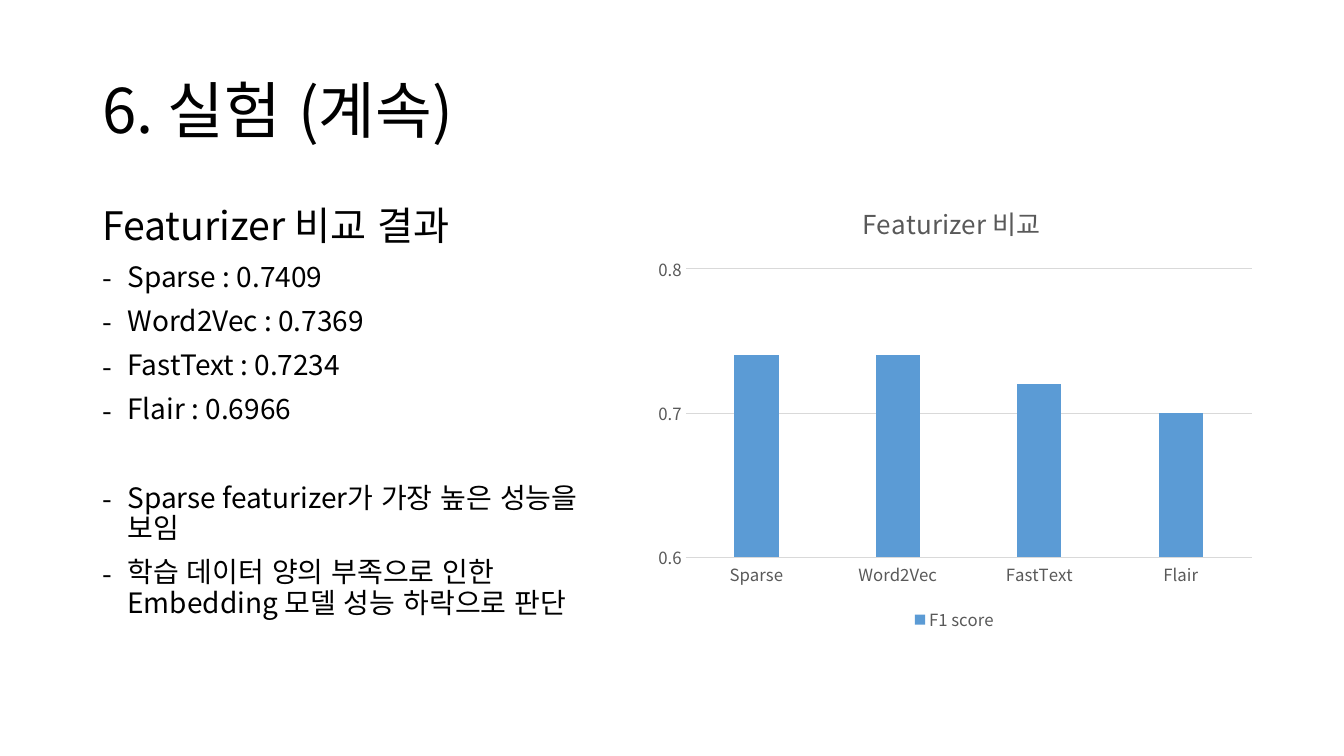
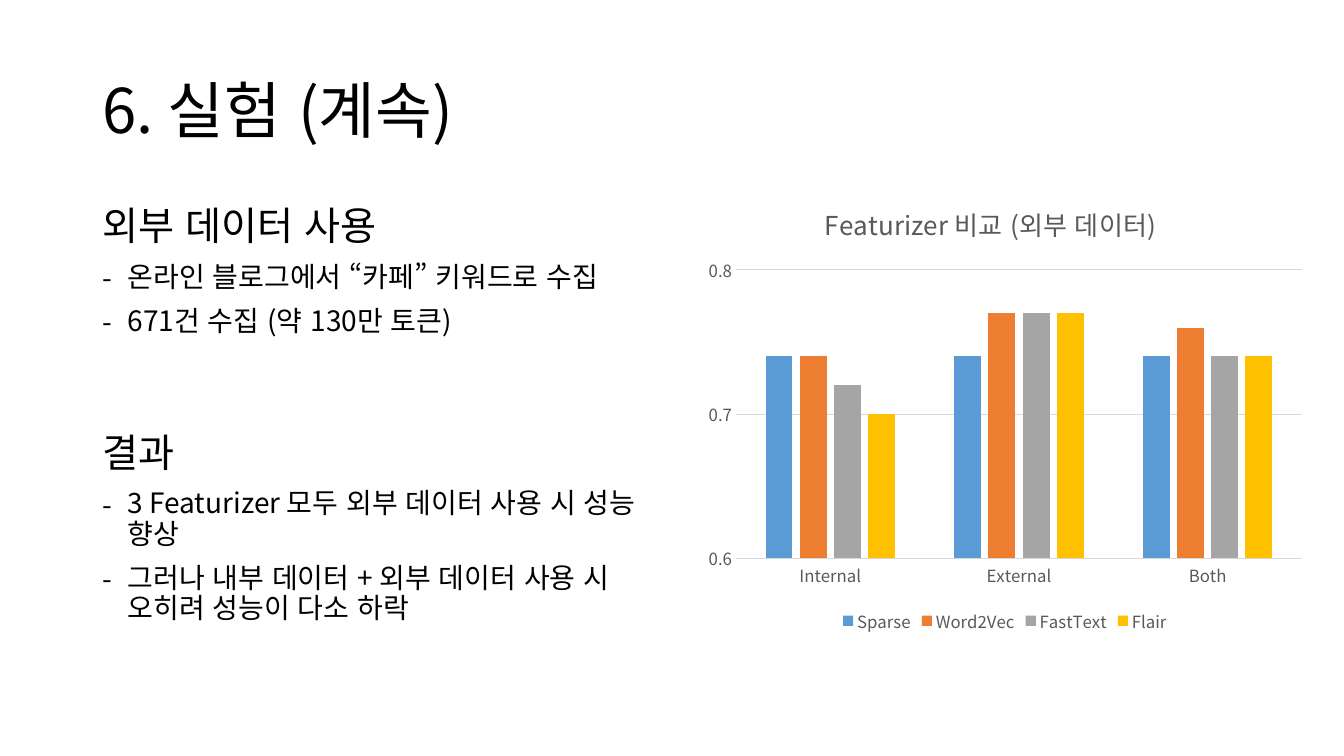
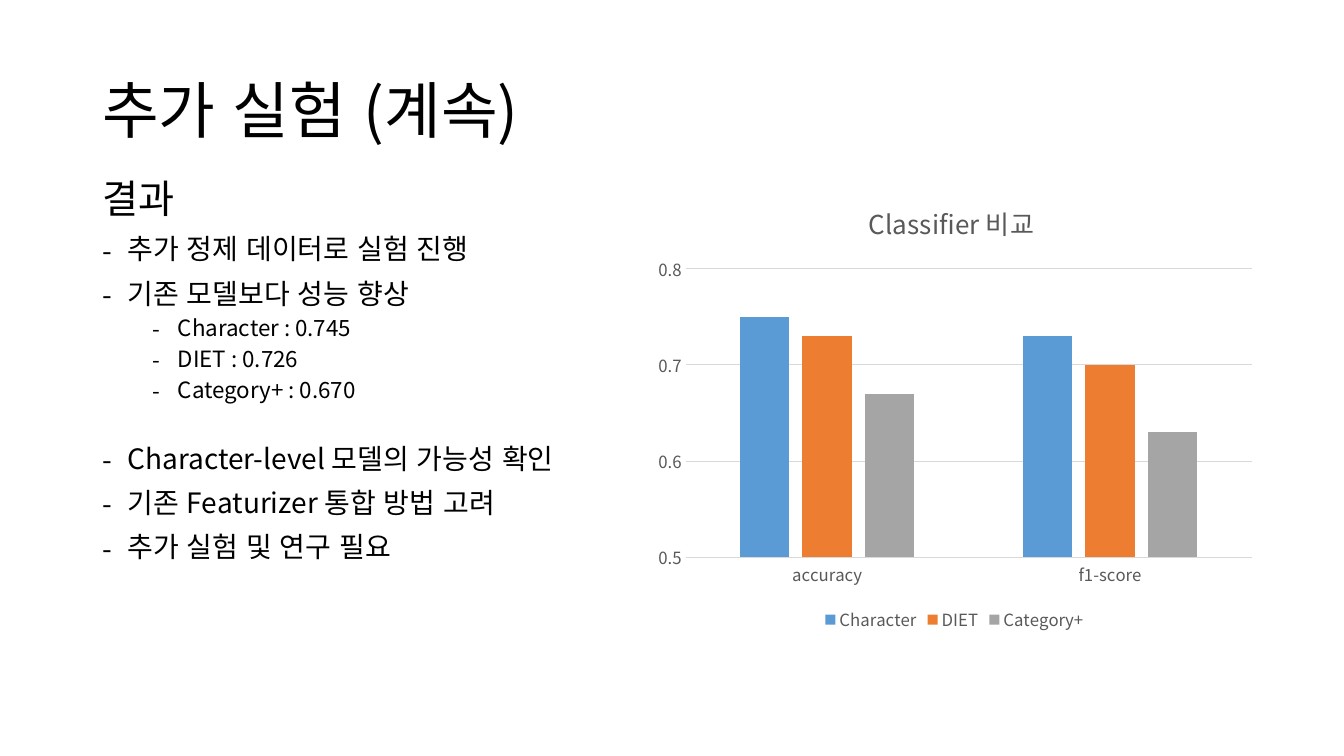
from dataclasses import dataclass

from lxml import etree
from pptx import Presentation
from pptx import util as u
from pptx.chart import data as chart_data
from pptx.dml import color
from pptx.enum import chart as ch
from pptx.enum import lang, text
from pptx.oxml import ns


@dataclass(frozen=True)
class Theme:
    font: str = "Noto Sans CJK KR"
    ink: str = "000000"
    muted: str = "595959"
    grid: str = "D9D9D9"
    series: tuple = ("5B9BD5", "ED7D31", "A5A5A5", "FFC000")
    title: float = 44
    chart_title: float = 18.6
    chart_label: float = 12
    line_spacing: float = 0.9
    grid_weight: float = 0.75


THEME = Theme()
PX = 9525
SLIDE = (1280, 720)
TITLE_BOX = (88, 39, 1104, 139)
CHART_SIZE = (588, 429)
PLOT_BOX = (38, 79, 539, 275)
CHART_TITLE_TOP = 10

LEVELS = {
    "heading": {"size": 28, "before": 10, "indent": 0, "level": 0},
    "point": {"size": 20, "before": 10, "indent": 24, "level": 0},
    "resumed": {"size": 20, "before": 41.6, "indent": 24, "level": 0},
    "detail": {"size": 16, "before": 5, "indent": 72, "level": 1},
}
HANGING = 24

FEATURIZERS = ("Sparse", "Word2Vec", "FastText", "Flair")


def px(value):
    return u.Emu(round(value * PX))


def rgb(value):
    return color.RGBColor.from_string(value)


def assign(target, formats):
    for name, value in formats.items():
        setattr(target, name, value)


def style_font(font, size, ink):
    assign(font, {"name": THEME.font, "size": u.Pt(size), "bold": False,
                  "language_id": lang.MSO_LANGUAGE_ID.KOREAN})
    etree.SubElement(font._rPr, ns.qn("a:ea"), typeface=THEME.font)
    font.color.rgb = rgb(ink)


def style_line(line):
    line.color.rgb = rgb(THEME.grid)
    line.width = u.Pt(THEME.grid_weight)


def add_text_frame(slide, box, anchor):
    frame = slide.shapes.add_textbox(*map(px, box)).text_frame
    assign(frame, {"word_wrap": True, "vertical_anchor": anchor})
    return frame


def write_paragraph(paragraph, words, size):
    paragraph.line_spacing = THEME.line_spacing
    run = paragraph.add_run()
    run.text = words
    style_font(run.font, size, THEME.ink)


def add_title(slide, words):
    frame = add_text_frame(slide, TITLE_BOX, text.MSO_ANCHOR.MIDDLE)
    write_paragraph(frame.paragraphs[0], words, THEME.title)


def add_outline(slide, box, entries):
    frame = add_text_frame(slide, box, text.MSO_ANCHOR.TOP)
    for position, (kind, words) in enumerate(entries):
        rule = LEVELS[kind]
        paragraph = frame.add_paragraph() if position else frame.paragraphs[0]
        assign(paragraph, {"level": rule["level"], "space_before": u.Pt(rule["before"])})
        write_paragraph(paragraph, words, rule["size"])
        if rule["indent"]:
            properties = paragraph._p.get_or_add_pPr()
            properties.set("marL", str(px(rule["indent"])))
            properties.set("indent", str(-px(HANGING)))
            etree.SubElement(properties, ns.qn("a:buFont"), typeface=THEME.font)
            etree.SubElement(properties, ns.qn("a:buChar"), char="-")


def set_layout(part, index, **values):
    for existing in part.findall(ns.qn("c:layout")):
        part.remove(existing)
    layout = etree.Element(ns.qn("c:layout"))
    manual = etree.SubElement(layout, ns.qn("c:manualLayout"))
    for name, value in values.items():
        etree.SubElement(manual, ns.qn("c:" + name), val=str(value))
    part.insert(index, layout)


def style_chart_title(chart, words, left):
    chart.has_title = True
    title = chart.chart_title
    title.include_in_layout = False
    run = title.text_frame.paragraphs[0].add_run()
    run.text = words
    style_font(run.font, THEME.chart_title, THEME.muted)
    set_layout(title._element, 1, xMode="edge", yMode="edge",
               x=round(left / CHART_SIZE[0], 4),
               y=round(CHART_TITLE_TOP / CHART_SIZE[1], 4))


def style_axes(chart, minimum):
    for axis in (chart.category_axis, chart.value_axis):
        assign(axis, {"major_tick_mark": ch.XL_TICK_MARK.NONE,
                      "minor_tick_mark": ch.XL_TICK_MARK.NONE})
        style_font(axis.tick_labels.font, THEME.chart_label, THEME.muted)
    style_line(chart.category_axis.format.line)
    scores = chart.value_axis
    assign(scores, {"minimum_scale": minimum, "maximum_scale": 0.8,
                    "major_unit": 0.1, "has_major_gridlines": True})
    assign(scores.tick_labels, {"number_format": "0.0", "number_format_is_linked": False})
    scores.format.line.fill.background()
    style_line(scores.major_gridlines.format.line)


def add_score_chart(slide, corner, title, title_left, categories, scores, minimum):
    source = chart_data.CategoryChartData()
    source.categories = categories
    for name, values in scores.items():
        source.add_series(name, values)
    chart = slide.shapes.add_chart(ch.XL_CHART_TYPE.COLUMN_CLUSTERED,
                                   *map(px, corner + CHART_SIZE), source).chart
    style_font(chart.font, 10, THEME.ink)
    style_chart_title(chart, title, title_left)
    style_axes(chart, minimum)

    columns = chart.plots[0]
    assign(columns, {"gap_width": 219, "overlap": -27, "vary_by_categories": False})
    for series, fill in zip(columns.series, THEME.series):
        series.format.fill.solid()
        series.format.fill.fore_color.rgb = rgb(fill)

    chart.has_legend = True
    assign(chart.legend, {"position": ch.XL_LEGEND_POSITION.BOTTOM,
                          "include_in_layout": False})
    style_font(chart.legend.font, THEME.chart_label, THEME.muted)

    fractions = [round(length / CHART_SIZE[i % 2], 4) for i, length in enumerate(PLOT_BOX)]
    plot_area = chart._chartSpace.find(ns.qn("c:chart")).find(ns.qn("c:plotArea"))
    set_layout(plot_area, 0, layoutTarget="inner", xMode="edge", yMode="edge",
               **dict(zip("xywh", fractions)))


def add_result_slide(deck, title, outlines, chart):
    slide = deck.slides.add_slide(deck.slide_layouts[6])
    add_title(slide, title)
    for box, entries in outlines:
        add_outline(slide, box, entries)
    add_score_chart(slide, **chart)


RESULT_SLIDES = (
    {
        "title": "6. 실험 (계속)",
        "outlines": [
            ((88, 192, 492, 466), [
                ("heading", "Featurizer 비교 결과"),
                ("point", "Sparse : 0.7409"),
                ("point", "Word2Vec : 0.7369"),
                ("point", "FastText : 0.7234"),
                ("point", "Flair : 0.6966"),
                ("resumed", "Sparse featurizer가 가장 높은 성능을 보임"),
                ("point", "학습 데이터 양의 부족으로 인한 Embedding 모델 성능 하락으로 판단"),
            ]),
        ],
        "chart": {
            "corner": (615, 177), "title": "Featurizer 비교", "title_left": 202,
            "categories": FEATURIZERS, "minimum": 0.6,
            "scores": {"F1 score": (0.74, 0.74, 0.72, 0.7)},
        },
    },
    {
        "title": "6. 실험 (계속)",
        "outlines": [
            ((88, 192, 529, 149), [
                ("heading", "외부 데이터 사용"),
                ("point", "온라인 블로그에서 “카페” 키워드로 수집"),
                ("point", "671건 수집 (약 130만 토큰)"),
            ]),
            ((88, 408, 529, 274), [
                ("heading", "결과"),
                ("point", "3 Featurizer 모두 외부 데이터 사용 시 성능 향상"),
                ("point", "그러나 내부 데이터 + 외부 데이터 사용 시 오히려 성능이 다소 하락"),
            ]),
        ],
        "chart": {
            "corner": (663, 178), "title": "Featurizer 비교 (외부 데이터)", "title_left": 118,
            "categories": ("Internal", "External", "Both"), "minimum": 0.6,
            "scores": dict(zip(FEATURIZERS, (
                (0.74, 0.74, 0.74),
                (0.74, 0.77, 0.76),
                (0.72, 0.77, 0.74),
                (0.7, 0.77, 0.74),
            ))),
        },
    },
    {
        "title": "추가 실험 (계속)",
        "outlines": [
            ((88, 166, 430, 226), [
                ("heading", "결과"),
                ("point", "추가 정제 데이터로 실험 진행"),
                ("point", "기존 모델보다 성능 향상"),
                ("detail", "Character : 0.745"),
                ("detail", "DIET : 0.726"),
                ("detail", "Category+ : 0.670"),
            ]),
            ((88, 419, 479, 263), [
                ("point", "Character-level 모델의 가능성 확인"),
                ("point", "기존 Featurizer 통합 방법 고려"),
                ("point", "추가 실험 및 연구 필요"),
            ]),
        ],
        "chart": {
            "corner": (615, 177), "title": "Classifier 비교", "title_left": 208,
            "categories": ("accuracy", "f1-score"), "minimum": 0.5,
            "scores": {
                "Character": (0.75, 0.73),
                "DIET": (0.73, 0.7),
                "Category+": (0.67, 0.63),
            },
        },
    },
)


def main():
    deck = Presentation()
    assign(deck, dict(zip(("slide_width", "slide_height"), map(px, SLIDE))))
    for content in RESULT_SLIDES:
        add_result_slide(deck, **content)
    deck.save("out.pptx")


if __name__ == "__main__":
    main()
